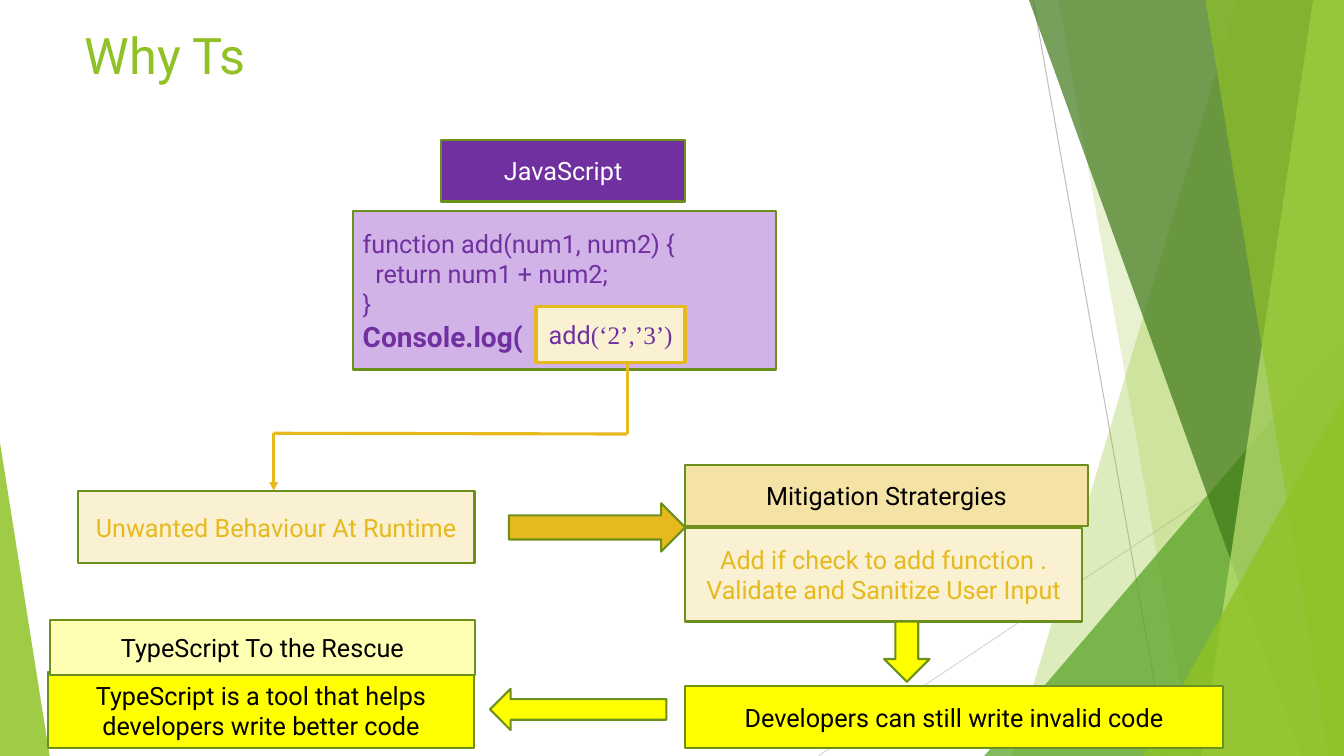
from dataclasses import dataclass

from lxml import etree
from pptx import Presentation
from pptx.dml import color as col
from pptx.enum import shapes, text
from pptx.oxml import ns
from pptx.util import Pt

KIND = shapes.MSO_SHAPE


@dataclass(frozen=True)
class Theme:
    """Colours, fonts and sizes of the slide."""
    font: str = "Roboto"
    serif: str = "Times New Roman"
    head: int = 36
    body: int = 18
    bold: int = 20
    edge: float = 1.5
    lime: str = "90C226"
    leaf: str = "54A021"
    pine: str = "3F7819"
    pale: str = "C0E474"
    moss: str = "6B901C"
    plum: str = "7030A0"
    lilac: str = "D1B3E7"
    gold: str = "E6B91E"
    sand: str = "F5E3A5"
    cream: str = "FAF1D2"
    sun: str = "FFFF00"
    lemon: str = "FFFFB3"
    black: str = "000000"
    white: str = "FFFFFF"
    gray: str = "BFBFBF"
    mist: str = "D9D9D9"


T = Theme()


def rgb(code):
    """Turn a hex code into a colour."""
    return col.RGBColor.from_string(code)


def paint(shape, fill, alpha=100, edge=None, width=T.edge):
    """Set fill, opacity in percent and outline of a shape."""
    shape.shadow.inherit = False
    shape.fill.solid()
    shape.fill.fore_color.rgb = rgb(fill)
    if alpha < 100:
        tint = shape.fill._xPr.find(".//" + ns.qn("a:srgbClr"))
        etree.SubElement(tint, ns.qn("a:alpha")).set("val", str(alpha * 1000))
    if edge:
        shape.line.color.rgb = rgb(edge)
        shape.line.width = Pt(width)
    else:
        shape.line.fill.background()


def style(run, ink, size=T.body, font=T.font, bold=False):
    """Set the font of one run."""
    run.font.name, run.font.size, run.font.bold = font, Pt(size), bold
    run.font.color.rgb = rgb(ink)


def block(slide, kind, box, fill, edge=T.moss, width=T.edge):
    """Add an outlined preset shape."""
    shape = slide.shapes.add_shape(kind, *map(Pt, box))
    paint(shape, fill, edge=edge, width=width)
    return shape


def label(slide, box, words, fill, ink, **line):
    """Add a rectangle with centred text and return its paragraph."""
    shape = block(slide, KIND.RECTANGLE, box, fill, **line)
    frame = shape.text_frame
    frame.word_wrap = True
    frame.vertical_anchor = text.MSO_ANCHOR.MIDDLE
    frame.text = words
    para = frame.paragraphs[0]
    para.alignment = text.PP_ALIGN.CENTER
    style(para.runs[0], ink)
    return para


def rule(slide, start, end, ink, width, head=False):
    """Add a straight line, with an arrowhead at its end if asked."""
    line = slide.shapes.add_connector(
        shapes.MSO_CONNECTOR.STRAIGHT, *map(Pt, start + end))
    line.line.color.rgb = rgb(ink)
    line.line.width = Pt(width)
    if head:
        tip = etree.SubElement(line.line._get_or_add_ln(), ns.qn("a:tailEnd"))
        tip.set("type", "triangle")
    etree.SubElement(line._element.spPr, ns.qn("a:effectLst"))


def wedge(slide, box, peak, fill, alpha):
    """Add a see-through triangle with its peak at one side."""
    shape = slide.shapes.add_shape(KIND.ISOSCELES_TRIANGLE, *map(Pt, box))
    shape.adjustments[0] = peak
    paint(shape, fill, alpha)


def decor(slide, box):
    """Draw the green facets in the right-hand box."""
    x, y, w, h = box
    end, base = x + w, y + h

    def facet(top, foot, fill, alpha):
        """Fill from a slanted left edge to the right side."""
        pen = slide.shapes.build_freeform(Pt(x + top), Pt(y))
        pen.add_line_segments([(Pt(a), Pt(b)) for a, b in (
            (end, y), (end, base), (x + foot, base))], close=True)
        paint(pen.convert_to_shape(), fill, alpha)

    def corner(wide, tall, fill, alpha):
        """Fill the lower right corner."""
        wedge(slide, (end - wide, base - tall, wide, tall), 1, fill, alpha)

    rule(slide, (x + 35, y), (x + 131, base), T.gray, 0.75)
    rule(slide, (end, y + 290), (x - 118.5, base), T.mist, 0.75)
    facet(181, 20, T.lime, 30)
    facet(53, 149, T.lime, 20)
    corner(w, 300, T.leaf, 72)
    facet(32, 226.5, T.pine, 70)
    facet(235, 155, T.pale, 70)
    facet(158, 246, T.lime, 65)
    corner(143.5, 257, T.lime, 80)


def title(slide, box):
    """Write the slide title."""
    frame = slide.shapes.add_textbox(*map(Pt, box)).text_frame
    frame.word_wrap = True
    frame.text = "Why Ts"
    style(frame.paragraphs[0].runs[0], T.lime, T.head)


def code(slide, box):
    """Draw the JavaScript tag, the code panel and the marked call."""
    x, y, w, h = box
    label(slide, (x + 63, y, 174.5, 44), "JavaScript", T.plum, T.white)
    panel = block(slide, KIND.RECTANGLE, (x, y + 51, w, h - 51), T.lilac)
    frame = panel.text_frame
    frame.word_wrap = True
    frame.vertical_anchor = text.MSO_ANCHOR.MIDDLE
    frame.text = ("function add(num1, num2) {\nreturn num1 + num2;\n}\n"
                  "Console.log(")
    for para in frame.paragraphs:
        para.alignment = text.PP_ALIGN.LEFT
        style(para.runs[0], T.plum)
    frame.paragraphs[1]._p.get_or_add_pPr().set("marL", str(Pt(9)))
    style(frame.paragraphs[3].runs[0], T.plum, T.bold, bold=True)
    call = label(slide, (x + 131, y + 119, 106.5, 40), "add",
                 T.cream, T.plum, edge=T.gold, width=2.5)
    rest = call.add_run()
    rest.text = "(‘2’,’3’)"
    style(rest, T.plum, font=T.serif)


def risk(slide, box):
    """Draw the path from the call, the runtime box and its arrow."""
    x, y, w, h = box
    low, bend, drop = y + 92, x + 140, x + 392.5
    rule(slide, (drop, y), (drop, y + 51.5), T.gold, 2.25)
    rule(slide, (drop, y + 51.5), (bend, y + 51), T.gold, 2.25)
    rule(slide, (bend, y + 51), (bend, low), T.gold, 2, head=True)
    label(slide, (x, low, 283.5, h - 92), "Unwanted Behaviour At Runtime",
          T.cream, T.gold)
    block(slide, KIND.RIGHT_ARROW, (x + w - 126, low + 9, 126, 34.5), T.gold)


def remedy(slide, box):
    """Draw the mitigation boxes, the down arrow and the outcome."""
    x, y, w, h = box
    label(slide, (x, y + 45, 283.5, 67),
          "Add if check to add function . Validate and Sanitize User Input",
          T.cream, T.gold)
    label(slide, (x, y, 287.5, 44), "Mitigation Stratergies", T.sand, T.black)
    block(slide, KIND.DOWN_ARROW, (x + 142, y + 112, 32.5, 43), T.sun)
    label(slide, (x, y + h - 44.5, w, 44.5),
          "Developers can still write invalid code", T.sun, T.black)


def rescue(slide, box):
    """Draw the back arrow and the TypeScript boxes."""
    x, y, w, h = box
    block(slide, KIND.LEFT_ARROW, (x + w - 126, y + 49, 126, 29.5), T.sun)
    label(slide, (x, y + h - 54.5, 304, 54.5),
          "TypeScript is a tool that helps developers write better code",
          T.sun, T.black)
    label(slide, (x + 1, y, 304, 39), "TypeScript To the Rescue",
          T.lemon, T.black)


def main():
    """Build and save the slide."""
    deck = Presentation()
    deck.slide_width, deck.slide_height = Pt(960), Pt(540)
    slide = deck.slides.add_slide(deck.slide_layouts[6])
    decor(slide, (703, 0, 257, 540))
    wedge(slide, (0, 316, 35.5, 224), 0, T.lime, 85)
    title(slide, (53.5, 13.5, 677, 50.5))
    code(slide, (252, 100, 302.5, 164))
    risk(slide, (55.5, 258.5, 434, 144))
    remedy(slide, (489.5, 332, 384, 202.5))
    rescue(slide, (34.5, 443, 441.5, 91.5))
    deck.save("out.pptx")


main()
